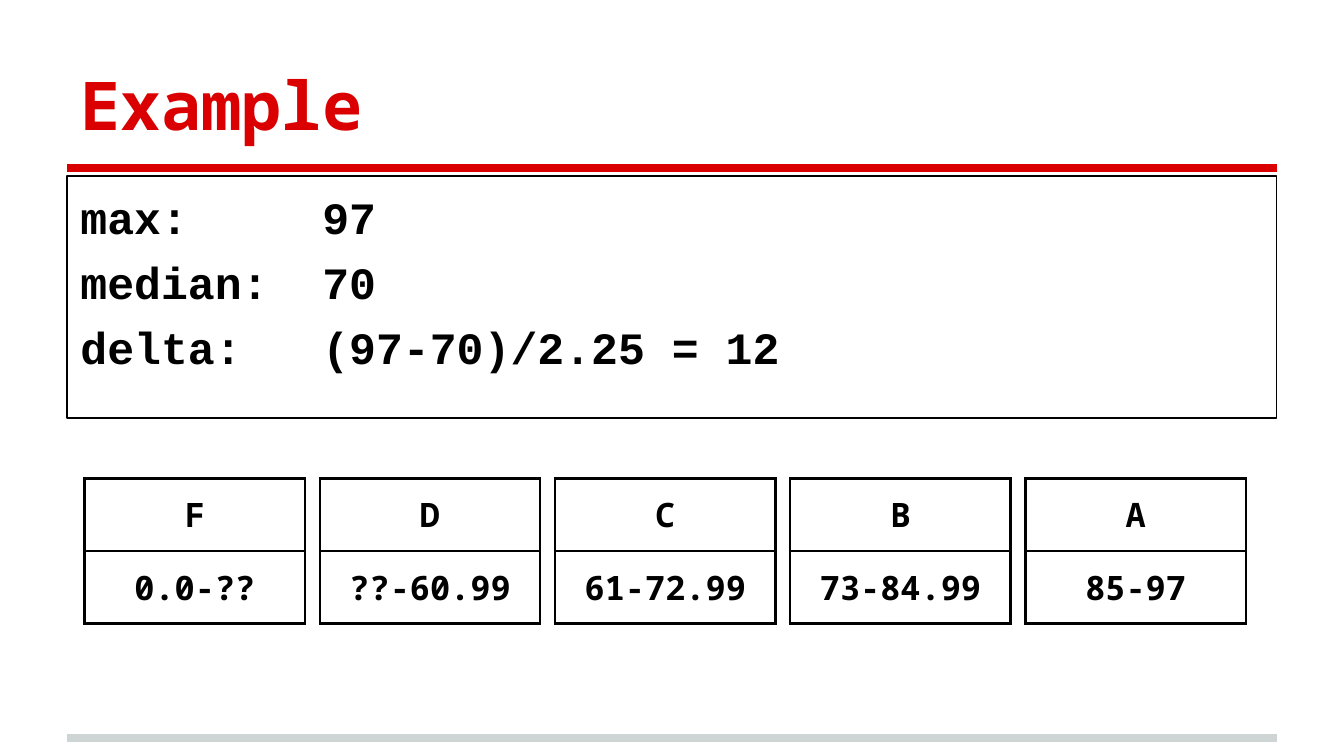
from dataclasses import dataclass

from lxml import etree
from pptx import Presentation
from pptx import util as u
from pptx.dml.color import RGBColor
from pptx.enum import shapes, text
from pptx.oxml import ns


@dataclass(frozen=True)
class Theme:
    """Colours, fonts and type sizes of the deck."""
    red: RGBColor = RGBColor(0xDA, 0x00, 0x02)
    grey: RGBColor = RGBColor(0xCF, 0xD4, 0xD4)
    black: RGBColor = RGBColor(0, 0, 0)
    heading_font: str = "Noto Sans Mono"
    code_font: str = "Courier New"
    title_size: int = 36
    body_size: int = 24
    grade_size: int = 18


THEME = Theme()
MARGIN = u.Inches(0.1)
LEFT, WIDTH = 0.5, 9
STATISTICS = [("max:", "97"), ("median:", "70"), ("delta:", "(97-70)/2.25 = 12")]
GRADES = [("A", "85-97"), ("B", "73-84.99"), ("C", "61-72.99"), ("D", "??-60.99"), ("F", "0.0-??")]


def style_font(para, name, size, color):
    """Give a paragraph its bold font."""
    para.font.name = name
    para.font.size = u.Pt(size)
    para.font.bold = True
    para.font.color.rgb = color


def set_margins(holder):
    """Set equal insets on a text frame or table cell."""
    holder.margin_left = holder.margin_right = MARGIN
    holder.margin_top = holder.margin_bottom = MARGIN


def add_rule(page, top, color):
    """Draw a thick horizontal rule across the content width."""
    rule = page.shapes.add_connector(
        shapes.MSO_CONNECTOR.STRAIGHT,
        u.Inches(LEFT), u.Inches(top), u.Inches(LEFT + WIDTH), u.Inches(top))
    rule.line.color.rgb = color
    rule.line.width = u.Pt(4)
    etree.SubElement(rule._element.spPr, ns.qn("a:effectLst"))


def add_text_box(page, top, height, anchor):
    """Add a wrapping text box across the content width."""
    box = page.shapes.add_textbox(
        u.Inches(LEFT), u.Inches(top), u.Inches(WIDTH), u.Inches(height))
    box.text_frame.word_wrap = True
    box.text_frame.vertical_anchor = anchor
    set_margins(box.text_frame)
    return box


def add_title(page, words):
    """Add the slide heading."""
    box = add_text_box(page, 0.23, 0.94, text.MSO_ANCHOR.BOTTOM)
    para = box.text_frame.paragraphs[0]
    para.text = words
    style_font(para, THEME.heading_font, THEME.title_size, THEME.red)


def add_tab_stop(para, position):
    """Add a left tab stop to a paragraph."""
    stops = etree.SubElement(para._p.get_or_add_pPr(), ns.qn("a:tabLst"))
    etree.SubElement(stops, ns.qn("a:tab"), pos=str(u.Inches(position)), algn="l")


def add_statistics(page, statistics):
    """Add the outlined box of labels and values."""
    box = add_text_box(page, 1.31, 1.8, text.MSO_ANCHOR.TOP)
    box.line.color.rgb = THEME.black
    box.line.width = u.Pt(0.75)
    frame = box.text_frame
    for index, (label, value) in enumerate(statistics):
        para = frame.add_paragraph() if index else frame.paragraphs[0]
        para.text = f"{label}\t{value}"
        para.space_before = u.Pt(6)
        add_tab_stop(para, 1.8)
        style_font(para, THEME.code_font, THEME.body_size, THEME.black)


def add_cell_borders(cell):
    """Outline all four sides of a cell."""
    properties = cell._tc.get_or_add_tcPr()
    for index, side in enumerate(("lnL", "lnR", "lnT", "lnB")):
        border = etree.Element(ns.qn(f"a:{side}"), w=str(u.Pt(1.5)))
        fill = etree.SubElement(border, ns.qn("a:solidFill"))
        etree.SubElement(fill, ns.qn("a:srgbClr"), val=str(THEME.black))
        properties.insert(index, border)


def add_grade_table(page, left, entries):
    """Add a one-column table with a grade above its range."""
    width, row_height = u.Inches(1.64), u.Inches(0.54)
    table = page.shapes.add_table(
        len(entries), 1, u.Inches(left), u.Inches(3.56),
        width, row_height * len(entries)).table
    table.first_row = table.horz_banding = False
    for row, words in enumerate(entries):
        cell = table.cell(row, 0)
        cell.fill.background()
        set_margins(cell)
        add_cell_borders(cell)
        para = cell.text_frame.paragraphs[0]
        para.text = words
        para.alignment = text.PP_ALIGN.CENTER
        style_font(para, THEME.heading_font, THEME.grade_size, THEME.black)


def main():
    """Build and save the slide."""
    deck = Presentation()
    deck.slide_width = u.Inches(10)
    deck.slide_height = deck.slide_width * 9 // 16
    page = deck.slides.add_slide(deck.slide_layouts[6])
    add_rule(page, 5.49, THEME.grey)
    add_rule(page, 1.25, THEME.red)
    add_title(page, "Example")
    add_statistics(page, STATISTICS)
    for index, entries in enumerate(GRADES):
        add_grade_table(page, 7.63 - 1.75 * index, entries)
    deck.save("out.pptx")


if __name__ == "__main__":
    main()
